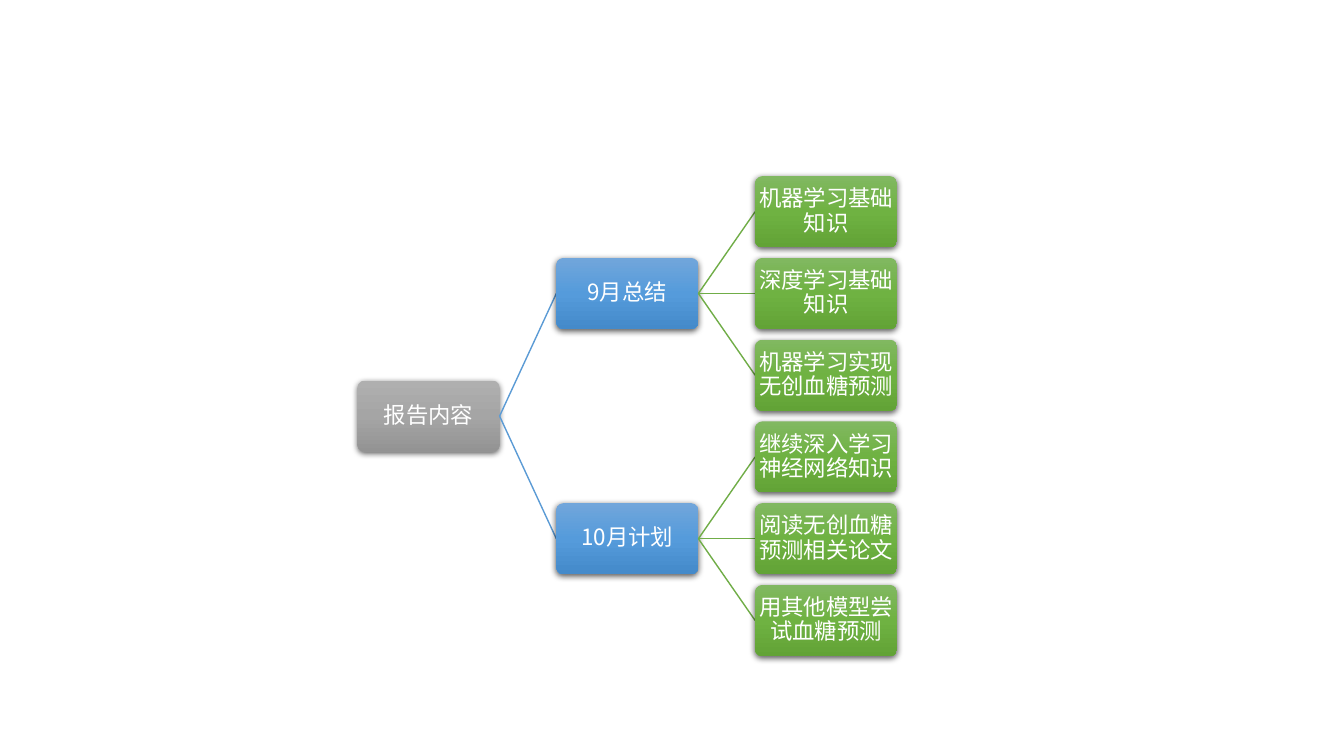
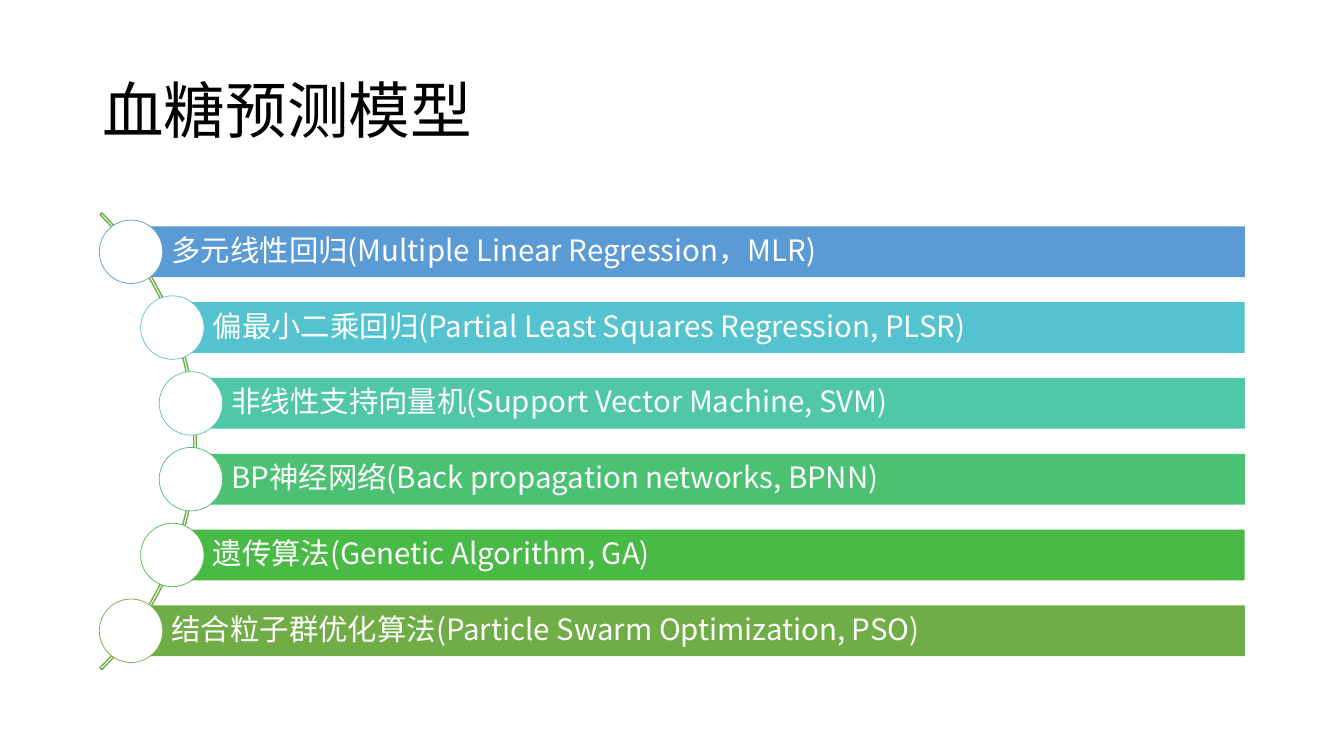
from copy import deepcopy
from math import sqrt

from lxml import etree
from pptx import Presentation
from pptx.dml.color import RGBColor
from pptx.enum.shapes import MSO_CONNECTOR, MSO_SHAPE
from pptx.enum.text import MSO_ANCHOR, MSO_AUTO_SIZE, PP_ALIGN
from pptx.oxml.ns import qn
from pptx.util import Cm, Pt

ROUNDED, RECTANGLE = MSO_SHAPE.ROUNDED_RECTANGLE, MSO_SHAPE.RECTANGLE
OVAL, BLOCK_ARC = MSO_SHAPE.OVAL, MSO_SHAPE.BLOCK_ARC
STRAIGHT = MSO_CONNECTOR.STRAIGHT
MIDDLE, NO_AUTOFIT = MSO_ANCHOR.MIDDLE, MSO_AUTO_SIZE.NONE
LEFT, CENTER = PP_ALIGN.LEFT, PP_ALIGN.CENTER

# Content
ROOT = "报告内容"
BRANCHES = [
    ("9月总结", ["机器学习基础知识", "深度学习基础知识", "机器学习实现无创血糖预测"]),
    ("10月计划", ["继续深入学习神经网络知识", "阅读无创血糖预测相关论文", "用其他模型尝试血糖预测"]),
]
MODELS_TITLE = "血糖预测模型"
MODELS = [
    ("多元线性回归(Multiple Linear Regression\uff0cMLR)", "blue"),
    ("偏最小二乘回归(Partial Least Squares Regression, PLSR)", "cyan"),
    ("非线性支持向量机(Support Vector Machine, SVM)", "teal"),
    ("BP神经网络(Back propagation networks, BPNN)", "mint"),
    ("遗传算法(Genetic Algorithm, GA)", "leaf"),
    ("结合粒子群优化算法(Particle Swarm Optimization, PSO)", "green"),
]

# Shared style
FONT = "Noto Sans CJK SC"
COLORS = {
    "black": "000000", "white": "FFFFFF", "blue": "5B9BD5", "cyan": "55C3CF",
    "teal": "50C8A7", "mint": "4BC174", "leaf": "4ABA46", "green": "70AD47",
}
GRADIENTS = {
    "root": ("AFAFAF", "A5A5A5", "939393"),
    "branch": ("71A6DB", "559BDB", "448ACA"),
    "leaf": ("81B861", "6FB242", "62A336"),
}

# Tree geometry in cm
TREE_LEFT, TREE_TOP = 9.01, 4.44
BOX_WIDTH, BOX_HEIGHT = 3.58, 1.79
COLUMN_STEP, ROW_STEP = 5.01, 2.06

# Model list geometry in cm
ARC_X, ARC_Y, ARC_RADIUS = -3.19, 11.12, 8.14
CIRCLE_ORBIT, CIRCLE_SIZE = 8.06, 1.6
BAR_RIGHT, BAR_HEIGHT, BAR_STEP = 31.37, 1.28, 1.91


def color(name):
    return RGBColor.from_string(COLORS[name])


def write(shape, text, size, color_name, alignment, insets):
    frame = shape.text_frame
    frame.text = text
    frame.word_wrap = True
    frame.auto_size = NO_AUTOFIT
    frame.vertical_anchor = MIDDLE
    (frame.margin_left, frame.margin_top,
     frame.margin_right, frame.margin_bottom) = map(Cm, insets)
    paragraph = frame.paragraphs[0]
    paragraph.alignment = alignment
    paragraph.line_spacing = 0.9
    font = paragraph.runs[0].font
    font.size, font.name = Pt(size), FONT
    font.color.rgb = color(color_name)
    etree.SubElement(font._element, qn("a:ea"), typeface=FONT)


def add_shape(slide, kind, left, top, width, height, fill=None, line=None, line_width=1):
    shape = slide.shapes.add_shape(kind, Cm(left), Cm(top), Cm(width), Cm(height))
    shape.shadow.inherit = False
    if fill:
        shape.fill.solid()
        shape.fill.fore_color.rgb = color(fill)
    else:
        shape.fill.background()
    if line:
        shape.line.color.rgb = color(line)
        shape.line.width = Pt(line_width)
    else:
        shape.line.fill.background()
    return shape


def set_gradient(shape, shades):
    shape.fill.gradient()
    shape.fill.gradient_angle = 270
    stop_list = shape._element.spPr.find(".//" + qn("a:gsLst"))
    stop_list.insert(1, deepcopy(stop_list[0]))
    for index, (stop, shade) in enumerate(zip(shape.fill.gradient_stops, shades)):
        stop.color.rgb = RGBColor.from_string(shade)
        stop.position = index / 2


def set_shadow(shape):
    effects = shape._element.spPr.find(qn("a:effectLst"))
    shadow = etree.SubElement(effects, qn("a:outerShdw"), blurRad=str(Pt(4.5)),
                              dist=str(Pt(1.5)), dir="5400000", rotWithShape="0")
    shade = etree.SubElement(shadow, qn("a:srgbClr"), val=COLORS["black"])
    etree.SubElement(shade, qn("a:alpha"), val="63000")


def add_box(slide, text, level, column, row):
    box = add_shape(slide, ROUNDED, TREE_LEFT + column * COLUMN_STEP,
                    TREE_TOP + row * ROW_STEP, BOX_WIDTH, BOX_HEIGHT)
    box.adjustments[0] = 0.1
    set_gradient(box, GRADIENTS[level])
    set_shadow(box)
    write(box, text, 16, "white", CENTER, (0.03,) * 4)


def add_link(slide, column, start_row, end_row, color_name):
    """Join a box to one in the next column."""
    start_x = TREE_LEFT + column * COLUMN_STEP + BOX_WIDTH
    end_x = TREE_LEFT + (column + 1) * COLUMN_STEP
    start_y, end_y = (TREE_TOP + row * ROW_STEP + BOX_HEIGHT / 2
                      for row in (start_row, end_row))
    link = slide.shapes.add_connector(STRAIGHT, Cm(start_x), Cm(start_y),
                                      Cm(end_x), Cm(end_y))
    link.line.color.rgb = color(color_name)
    link.line.width = Pt(1)
    etree.SubElement(link._element.spPr, qn("a:effectLst"))


presentation = Presentation()
presentation.slide_width, presentation.slide_height = Cm(33.87), Cm(19.05)
title_only, blank = presentation.slide_layouts[5], presentation.slide_layouts[6]

# Slide 1: report tree, each parent centred on its children
slide = presentation.slides.add_slide(blank)
root_row = (sum(len(leaves) for _, leaves in BRANCHES) - 1) / 2
add_box(slide, ROOT, "root", 0, root_row)
first_row = 0
for branch, leaves in BRANCHES:
    branch_row = first_row + (len(leaves) - 1) / 2
    add_link(slide, 0, root_row, branch_row, "blue")
    add_box(slide, branch, "branch", 1, branch_row)
    for row, leaf in enumerate(leaves, first_row):
        add_link(slide, 1, branch_row, row, "green")
        add_box(slide, leaf, "leaf", 2, row)
    first_row += len(leaves)

# Slide 2: title and models along an arc
slide = presentation.slides.add_slide(title_only)
title = slide.shapes.title
title.left, title.top, title.width, title.height = Cm(2.33), Cm(1.01), Cm(29.21), Cm(3.68)
write(title, MODELS_TITLE, 44, "black", LEFT, (0.25, 0.13, 0.25, 0.13))

arc = add_shape(slide, BLOCK_ARC, ARC_X - ARC_RADIUS, ARC_Y - ARC_RADIUS,
                2 * ARC_RADIUS, 2 * ARC_RADIUS, line="green")
for index, value in enumerate((189, 27, 0.004)):
    arc.adjustments[index] = value

for index, (model, color_name) in enumerate(MODELS):
    offset = (index - (len(MODELS) - 1) / 2) * BAR_STEP
    center_x = ARC_X + sqrt(CIRCLE_ORBIT ** 2 - offset ** 2)
    center_y = ARC_Y + offset
    bar = add_shape(slide, RECTANGLE, center_x, center_y - BAR_HEIGHT / 2,
                    BAR_RIGHT - center_x, BAR_HEIGHT, fill=color_name)
    write(bar, model, 21, "white", LEFT, (1.02, 0.15, 0.15, 0.15))
    add_shape(slide, OVAL, center_x - CIRCLE_SIZE / 2, center_y - CIRCLE_SIZE / 2,
              CIRCLE_SIZE, CIRCLE_SIZE, fill="white", line=color_name, line_width=0.5)

presentation.save("out.pptx")
